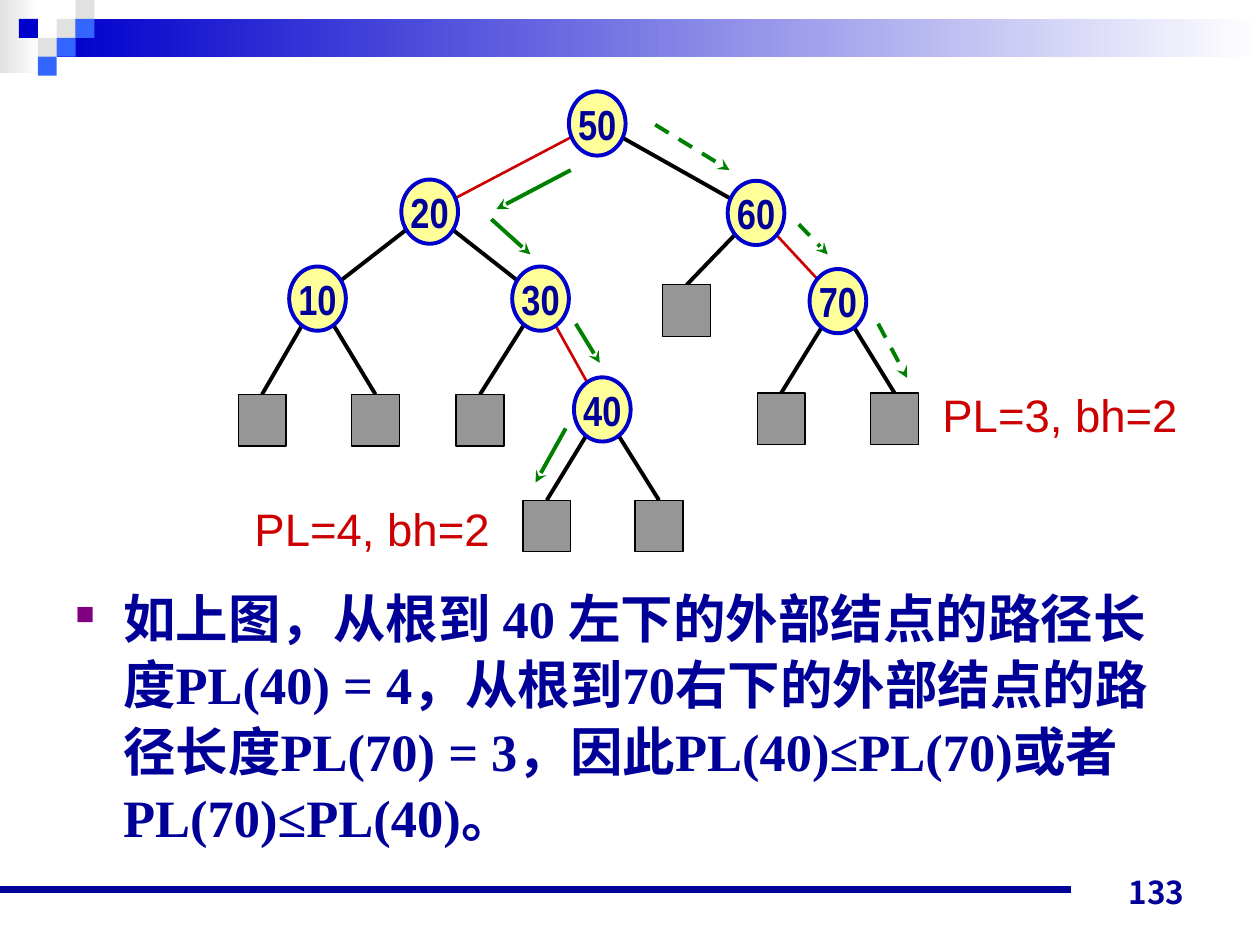
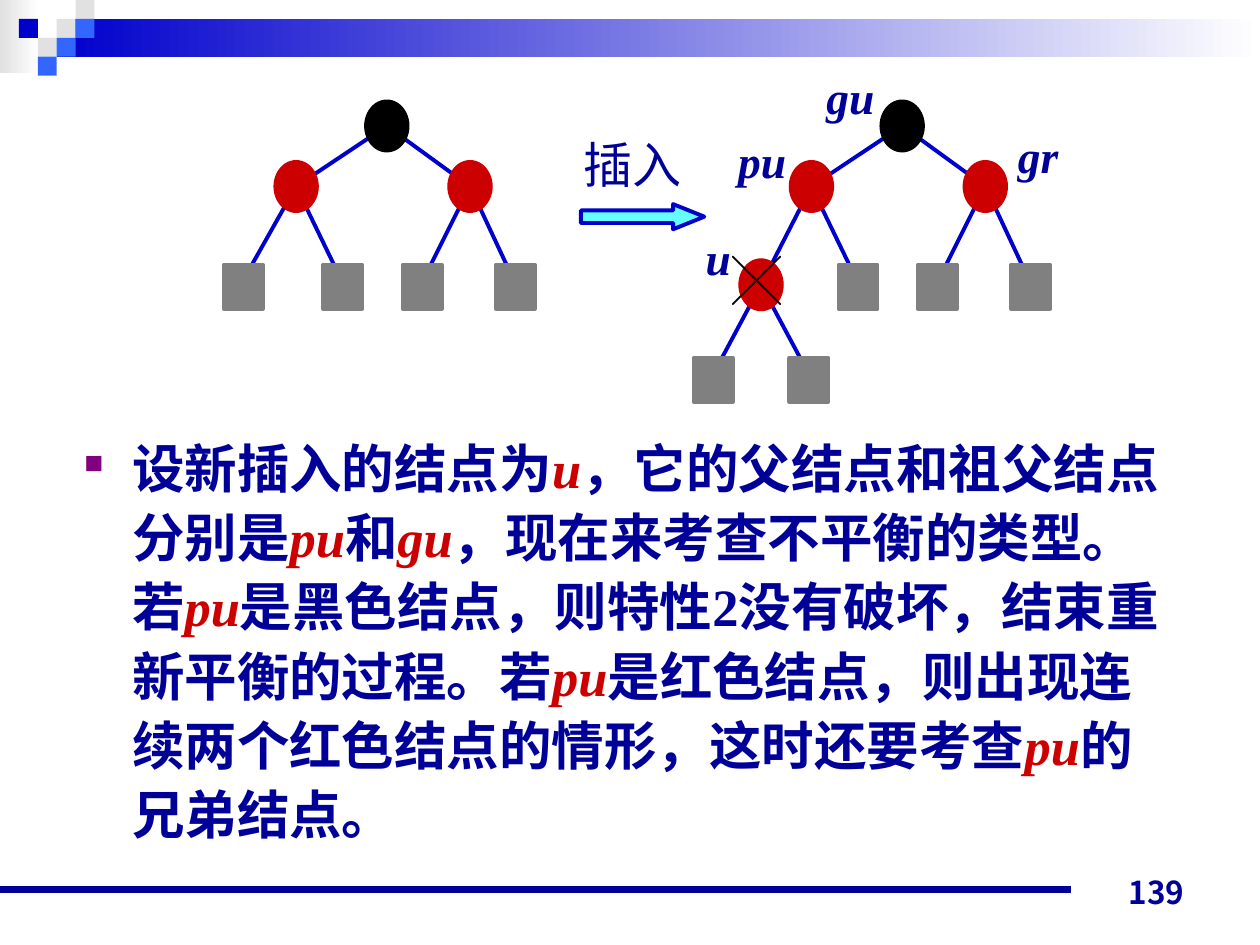
from math import copysign, hypot

from lxml import etree
from pptx import Presentation
from pptx.dml.color import RGBColor
from pptx.enum.dml import MSO_LINE
from pptx.enum.shapes import MSO_CONNECTOR, MSO_SHAPE
from pptx.enum.text import MSO_ANCHOR, PP_ALIGN
from pptx.oxml.ns import qn
from pptx.util import Inches, Pt

RECTANGLE, OVAL, RIGHT_ARROW = MSO_SHAPE.RECTANGLE, MSO_SHAPE.OVAL, MSO_SHAPE.RIGHT_ARROW
STRAIGHT, DASH = MSO_CONNECTOR.STRAIGHT, MSO_LINE.DASH
LEFT, CENTER, RIGHT = PP_ALIGN.LEFT, PP_ALIGN.CENTER, PP_ALIGN.RIGHT
TOP, MIDDLE, BOTTOM = MSO_ANCHOR.TOP, MSO_ANCHOR.MIDDLE, MSO_ANCHOR.BOTTOM

COLORS = {
    "white": "FFFFFF", "black": "000000", "navy": "000099", "blue": "0000CC",
    "sky": "3366FF", "mist": "E1E1E1", "red": "CC0000", "green": "008000",
    "yellow": "FFFF99", "cyan": "66FFFF", "purple": "800080",
    "silver": "969696", "gray": "808080",
}
CHINESE_FONT = "Noto Sans CJK SC"
BODY = {"name": "Times New Roman", "size": Pt(30), "bold": True}
TERM = {**BODY, "italic": True}
PAGE_NUMBER = {"name": "Noto Sans CJK JP", "size": Pt(18), "bold": True}
KEY = {"name": "Arial Narrow", "size": Pt(24), "bold": True}
PATH_LABEL = {"name": "Arial", "size": Pt(26)}
INSERT_LABEL = {"name": "Arial", "size": Pt(28)}
CROSS = {"name": CHINESE_FONT, "size": Pt(28)}
NODE_NAME = {**TERM, "size": Pt(26)}
NO_MARGINS = dict.fromkeys(("margin_left", "margin_top", "margin_right", "margin_bottom"), 0)

SEARCH_TREE = {
    "node": (0.45, 0.51), "node_line": ("blue", 2.25), "leaf": (0.38, 0.41),
    "leaf_fill": "silver", "leaf_line": ("black", 0.75), "inset": 0, "keys": True,
}
RED_BLACK_TREE = {
    "node": (0.35, 0.41), "node_line": None, "leaf": (0.31, 0.35),
    "leaf_fill": "gray", "leaf_line": ("gray", 2.25), "inset": 0.07, "keys": False,
}


def color(name):
    """Return the named colour."""
    return RGBColor.from_string(COLORS[name])


def apply_format(target, values):
    """Set each attribute in values on target."""
    for name, value in values.items():
        setattr(target, name, value)


def add_run(paragraph, text, font, color_name):
    """Append a formatted run with a Chinese fallback font."""
    run = paragraph.add_run()
    run.text = text
    apply_format(run.font, font)
    run.font.color.rgb = color(color_name)
    etree.SubElement(run.font._element, qn("a:ea"), typeface=CHINESE_FONT)


def add_block(slide, kind, left, top, width, height, fill, line=None):
    """Add a preset shape; a pair of fill names makes a gradient."""
    shape = slide.shapes.add_shape(kind, Inches(left), Inches(top), Inches(width), Inches(height))
    shape.shadow.inherit = False
    if isinstance(fill, tuple):
        shape.fill.gradient()
        shape.fill.gradient_angle = 0
        for position, (stop, name) in enumerate(zip(shape.fill.gradient_stops, fill)):
            stop.position = position
            stop.color.rgb = color(name)
    else:
        shape.fill.solid()
        shape.fill.fore_color.rgb = color(fill)
    if line:
        shape.line.color.rgb = color(line[0])
        shape.line.width = Pt(line[1])
    else:
        shape.line.fill.background()
    return shape


def add_line(slide, start, end, color_name, width=2.25, dash=None, arrow=False):
    """Add a straight line, optionally dashed or with an arrowhead."""
    points = [Inches(value) for value in (*start, *end)]
    connector = slide.shapes.add_connector(STRAIGHT, *points)
    connector.line.color.rgb = color(color_name)
    apply_format(connector.line, {"width": Pt(width), "dash_style": dash})
    if arrow:
        etree.SubElement(connector.line._get_or_add_ln(), qn("a:tailEnd"), type="stealth")
    etree.SubElement(connector._element.spPr, qn("a:effectLst"))


def add_text(slide, box, text, font, color_name, align=CENTER, anchor=TOP, wrap=False):
    """Add a text box and return its paragraph."""
    frame = slide.shapes.add_textbox(*[Inches(value) for value in box]).text_frame
    apply_format(frame, {"word_wrap": wrap, "vertical_anchor": anchor})
    paragraph = frame.paragraphs[0]
    paragraph.alignment = align
    if text:
        add_run(paragraph, text, font, color_name)
    return paragraph


def add_header(slide):
    """Draw the gradient band with its mosaic of squares."""
    add_block(slide, RECTANGLE, 0, 0, 0.31, 0.58, ("mist", "white"))
    add_block(slide, RECTANGLE, 0.45, 0.15, 9.55, 0.3, ("blue", "white"))
    mosaic = [(3, 1, "mist"), (4, 0, "mist"), (4, 1, "sky"), (2, 2, "mist"),
              (1, 1, "blue"), (3, 2, "sky"), (2, 3, "sky")]
    size = 0.15
    for column, row, fill in mosaic:
        add_block(slide, RECTANGLE, column * size, row * size, size, size, fill)


def add_footer(slide, number):
    """Draw the bottom rule and the page number."""
    add_line(slide, (0, 7.06), (8.5, 7.06), "navy", 4.5)
    add_text(slide, (7.17, 6.78, 2.33, 0.5), number, PAGE_NUMBER, "navy", RIGHT, BOTTOM, True)


def add_body(slide, box, parts, line_spacing):
    """Write one bulleted paragraph; every second part is a red term."""
    paragraph = add_text(slide, box, "", BODY, "navy", LEFT, wrap=True)
    properties = paragraph._p.get_or_add_pPr()
    indent = Inches(0.38)
    properties.set("marL", str(indent))
    properties.set("indent", str(-indent))
    bullet_color = etree.SubElement(properties, qn("a:buClr"))
    etree.SubElement(bullet_color, qn("a:srgbClr"), val=COLORS["purple"])
    etree.SubElement(properties, qn("a:buSzPct"), val="50000")
    etree.SubElement(properties, qn("a:buChar"), char="■")
    paragraph.line_spacing = line_spacing
    for index, part in enumerate(parts):
        font, name = (TERM, "red") if index % 2 else (BODY, "navy")
        add_run(paragraph, part, font, name)


def rim_point(center, toward, size):
    """Return where the ray from an oval's centre crosses its rim."""
    across, down = toward[0] - center[0], toward[1] - center[1]
    scale = hypot(across / (size[0] / 2), down / (size[1] / 2))
    return center[0] + across / scale, center[1] + down / scale


def add_tree(slide, left, top, nodes, leaves, style):
    """Draw edges, then nodes and leaves, relative to the left top corner."""
    centers = {key: (left + x, top + y) for key, (x, y, *_) in nodes.items()}
    node_width, node_height = style["node"]
    leaf_width, leaf_height = style["leaf"]
    for key, (_, _, parent, edge, _) in nodes.items():
        if parent:
            start = rim_point(centers[parent], centers[key], style["node"])
            end = rim_point(centers[key], centers[parent], style["node"])
            add_line(slide, start, end, edge, 1.5 if edge == "red" else 2.25)
    leaf_edge = "black" if style["keys"] else "blue"
    for x, y, parent in leaves:
        shift = copysign(style["inset"], centers[parent][0] - left - x)
        end = (left + x + shift, top + y)
        add_line(slide, rim_point(centers[parent], end, style["node"]), end, leaf_edge)
        add_block(slide, RECTANGLE, left + x - leaf_width / 2, top + y, leaf_width, leaf_height,
                  style["leaf_fill"], style["leaf_line"])
    for key, (x, y) in centers.items():
        fill = nodes[key][-1]
        shape = add_block(slide, OVAL, x - node_width / 2, y - node_height / 2, node_width,
                          node_height, fill, style["node_line"] or (fill, 0.75))
        if style["keys"]:
            frame = shape.text_frame
            apply_format(frame, {**NO_MARGINS, "word_wrap": False, "vertical_anchor": MIDDLE})
            frame.paragraphs[0].alignment = CENTER
            add_run(frame.paragraphs[0], key, KEY, "navy")


def add_search_paths(slide, left, top):
    """Draw the arrows of both search paths and label their lengths."""
    left_path = [((2.64, 0.62), (2.05, 0.93)), ((2.01, 1.01), (2.32, 1.29)),
                 ((2.68, 1.84), (2.87, 2.15)), ((2.6, 2.67), (2.36, 3.1))]
    right_path = [((3.31, 0.26), (3.9, 0.62)), ((4.45, 1.05), (4.68, 1.29)),
                  ((5.08, 1.84), (5.31, 2.27))]
    for path, dash in ((left_path, None), (right_path, DASH)):
        for (x1, y1), (x2, y2) in path:
            add_line(slide, (left + x1, top + y1), (left + x2, top + y2), "green",
                     dash=dash, arrow=True)
    for x, y, text in ((0.03, 3.2, "PL=4, bh=2"), (5.49, 2.29, "PL=3, bh=2")):
        add_text(slide, (left + x, top + y, 2.07, 0.53), text, PATH_LABEL, "red")


def build_path_slide(slide):
    """Build the slide on path lengths."""
    left, top = 1.89, 0.73
    nodes = {
        "50": (2.85, 0.25, None, None, "yellow"),
        "20": (1.52, 0.95, "50", "red", "yellow"),
        "60": (4.11, 0.96, "50", "black", "yellow"),
        "10": (0.63, 1.64, "20", "black", "yellow"),
        "30": (2.4, 1.64, "20", "black", "yellow"),
        "70": (4.76, 1.66, "60", "red", "yellow"),
        "40": (2.89, 2.52, "30", "red", "yellow"),
    }
    leaves = [(0.19, 2.4, "10"), (1.09, 2.4, "10"), (1.92, 2.4, "30"), (2.45, 3.24, "40"),
              (3.34, 3.24, "40"), (3.56, 1.53, "60"), (4.31, 2.39, "70"), (5.21, 2.39, "70")]
    add_body(slide, (0.5, 4.58, 9, 2.44), [
        "如上图，从根到 40 左下的外部结点的路径长度PL(40) = 4，从根到70右下的外部结点的"
        "路径长度PL(70) = 3，因此PL(40)≤PL(70)或者PL(70)≤PL(40)。"], 1.05)
    add_tree(slide, left, top, nodes, leaves, SEARCH_TREE)
    add_search_paths(slide, left, top)


def add_insertion(slide, left, top):
    """Draw the tree before and after inserting u, with labels."""
    nodes = {
        "gu": (1.3, 0.2, None, None, "black"),
        "pu": (0.58, 0.68, "gu", "blue", "red"),
        "gr": (1.96, 0.68, "gu", "blue", "red"),
    }
    inserted = {"u": (0.18, 1.46, "pu", "blue", "red")}
    outer_leaf = [(0.16, 1.3, "pu")]
    leaves = [(0.95, 1.3, "pu"), (1.58, 1.3, "gr"), (2.32, 1.3, "gr")]
    new_leaves = [(-0.2, 2.04, "u"), (0.56, 2.04, "u")]
    after = left + 4.09
    add_tree(slide, left, top, nodes, outer_leaf + leaves, RED_BLACK_TREE)
    add_tree(slide, after, top, nodes | inserted, leaves + new_leaves, RED_BLACK_TREE)
    arrow = add_block(slide, RIGHT_ARROW, left + 2.84, top + 0.82, 0.98, 0.2, "cyan",
                      ("blue", 2.25))
    arrow.adjustments[1] = 1.24
    add_text(slide, (left + 2.76, top + 0.22, 0.98, 0.57), "插入", INSERT_LABEL, "navy")
    add_text(slide, (after - 0.15, top + 1.14, 0.59, 0.57), "╳", CROSS, "black")
    names = [("pu", -0.1, 0.21, 0.58), ("gu", 0.6, -0.3, 0.58),
             ("u", -0.36, 0.98, 0.4), ("gr", 2.12, 0.17, 0.52)]
    for name, x, y, width in names:
        add_text(slide, (after + x, top + y, width, 0.53), name, NODE_NAME, "navy")


def build_insertion_slide(slide):
    """Build the slide on inserting a node."""
    add_body(slide, (0.57, 3.36, 8.84, 3.5), [
        "设新插入的结点为", "u", "，它的父结点和祖父结点分别是", "pu", "和", "gu",
        "，现在来考查不平衡的类型。若", "pu",
        "是黑色结点，则特性2没有破坏，结束重新平衡的过程。若", "pu",
        "是红色结点，则出现连续两个红色结点的情形，这时还要考查", "pu", "的兄弟结点。"], 1.1)
    add_insertion(slide, 1.77, 0.8)


def main():
    """Build and save the presentation."""
    presentation = Presentation()
    apply_format(presentation, {"slide_width": Inches(10), "slide_height": Inches(7.5)})
    for number, build in (("133", build_path_slide), ("139", build_insertion_slide)):
        slide = presentation.slides.add_slide(presentation.slide_layouts[6])
        add_header(slide)
        add_footer(slide, number)
        build(slide)
    presentation.save("out.pptx")


if __name__ == "__main__":
    main()
